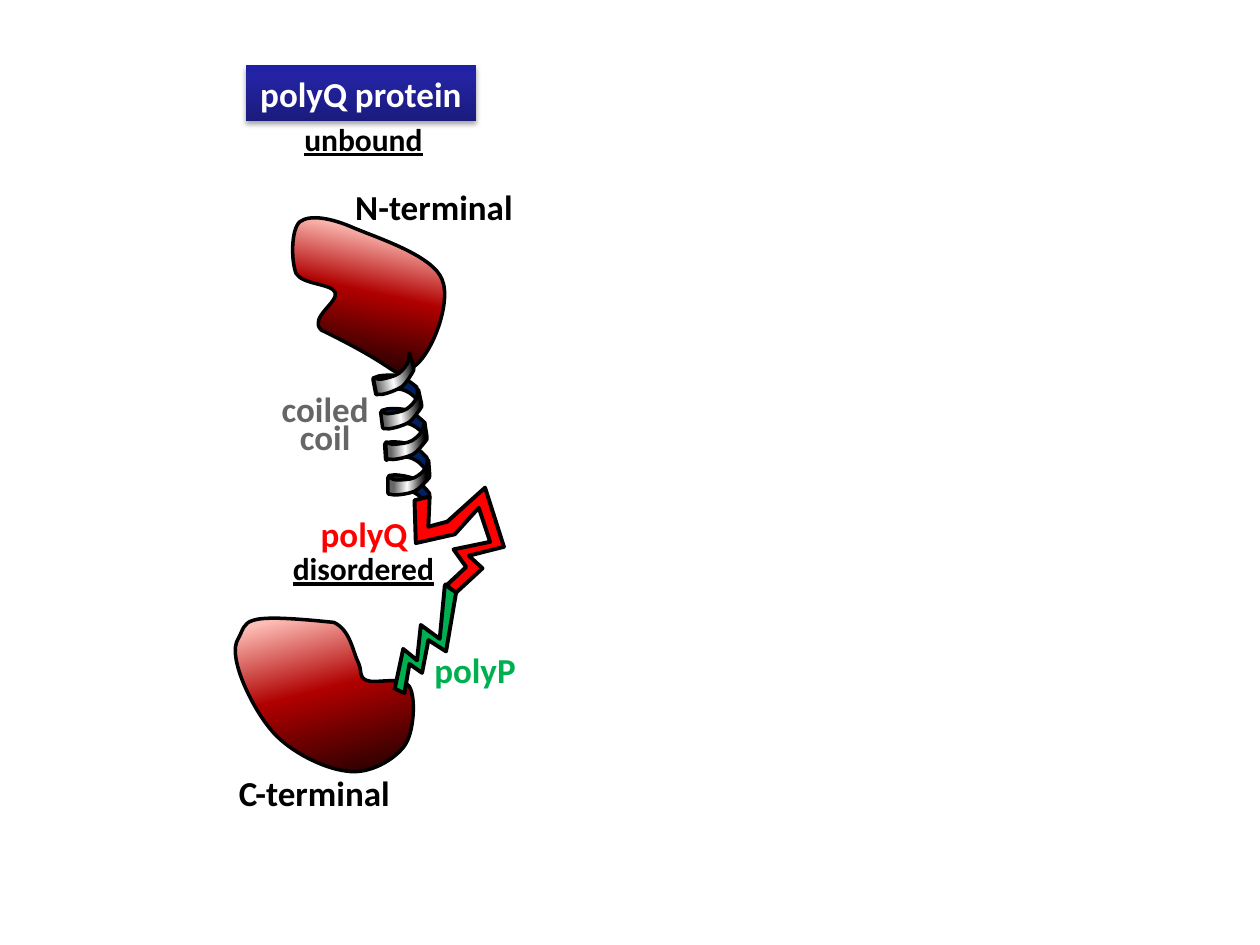
import dataclasses
import math

import lxml.etree
import pptx
import pptx.dml.color
import pptx.enum.shapes
import pptx.enum.text
import pptx.oxml.ns
import pptx.util

Inches = pptx.util.Inches


@dataclasses.dataclass(frozen=True)
class Theme:
    font: str = "Calibri"
    label_size: int = 20
    state_size: int = 18
    outline_width: float = 2
    linker_width: float = 2.25
    black: str = "000000"
    white: str = "FFFFFF"
    gray: str = "666666"
    red: str = "FF0000"
    green: str = "00B050"
    navy: str = "002060"
    header: tuple = ((0, "1B1B7E"), (80, "2323A3"), (100, "2020A6"))
    domain: tuple = ((20, "FDBCB5"), (50, "B00000"), (96, "000000"))
    ribbon: tuple = ((15, "666666"), (47, "FFFFFF"), (90, "000000"))


THEME = Theme()

# Outlines in inches: pairs are corners, sixes are Bezier curves
N_DOMAIN = [
    (0.51, 0.41), (0.33, 0.33, 0.16, 0.30, 0.08, 0.36),
    (0.01, 0.42, 0.01, 0.67, 0.05, 0.77), (0.10, 0.86, 0.33, 0.85, 0.36, 0.92),
    (0.39, 1.00, 0.15, 1.12, 0.25, 1.22), (0.95, 1.56, 0.79, 1.60, 0.95, 1.53),
    (1.11, 1.47, 1.29, 1.01, 1.21, 0.82), (1.14, 0.63, 0.70, 0.49, 0.51, 0.41)]
C_DOMAIN = [
    (1.15, 1.32), (1.33, 1.35, 1.53, 1.23, 1.61, 1.12),
    (1.69, 1.01, 1.70, 0.73, 1.65, 0.65), (1.60, 0.56, 1.38, 0.63, 1.31, 0.60),
    (1.24, 0.57, 1.28, 0.53, 1.24, 0.45), (1.20, 0.37, 1.18, 0.20, 1.05, 0.14),
    (0.28, 0.06, 0.37, 0.13, 0.29, 0.27), (0.20, 0.41, 0.40, 0.81, 0.54, 0.98),
    (0.68, 1.16, 0.97, 1.30, 1.15, 1.32)]
RIBBON_WIDTH = 0.33
RIBBON = [
    (0.32, 0), (0.30, 0.06), (0.28, 0.09, 0.25, 0.12, 0.21, 0.14),
    (0.17, 0.16, 0.10, 0.16, 0.06, 0.16), (0.03, 0.16, 0.01, 0.13, 0, 0.14),
    (0, 0.26), (0, 0.28, 0, 0.27, 0.05, 0.28), (0.09, 0.28, 0.16, 0.27, 0.21, 0.25),
    (0.25, 0.23, 0.29, 0.18, 0.31, 0.16), (0.33, 0.14, 0.33, 0.14, 0.33, 0.11), (0.32, 0)]
# Front left and top, back left and top, rotation
COIL_TURNS = [(0.96, 0.03, 0.98, 0.16, 349), (1.02, 0.31, 1.04, 0.43, 352.9),
              (1.06, 0.56, 1.06, 0.70, 356.4), (1.08, 0.85, 1.08, 0.97, 1)]
POLY_Q = [
    (1.58, 0.94), (1.83, 0.71), (1.72, 0.61), (2.00, 0.54), (1.85, 0.07), (1.55, 0.34),
    (1.40, 0.38), (1.41, 0.14), (1.29, 0.17), (1.30, 0.51), (1.61, 0.44), (1.80, 0.23),
    (1.89, 0.50), (1.60, 0.56), (1.70, 0.70), (1.55, 0.84), (1.59, 0.94)]
POLY_P = [
    (1.14, 1.67), (1.13, 1.66, 1.18, 1.69, 1.21, 1.70), (1.25, 1.47), (1.35, 1.54),
    (1.40, 1.28), (1.54, 1.37), (1.62, 0.90), (1.53, 0.85, 1.54, 0.82, 1.53, 0.85),
    (1.49, 1.27), (1.34, 1.16), (1.31, 1.44), (1.20, 1.35), (1.13, 1.68)]


def add_element(parent, tag, **attributes):
    element = lxml.etree.SubElement(parent, pptx.oxml.ns.qn(tag))
    for name, value in attributes.items():
        element.set(name, str(value))
    return element


def fill_gradient(shape, stops, angle):
    """Fill with (percent, colour) stops along a clockwise angle."""
    shape.fill.gradient()
    shape.fill.gradient_angle = (360 - angle) % 360
    stop_list = shape.fill._fill._gradFill.find(pptx.oxml.ns.qn("a:gsLst"))
    for stop in list(stop_list):
        stop_list.remove(stop)
    for percent, color in stops:
        stop = add_element(stop_list, "a:gs", pos=percent * 1000)
        add_element(stop, "a:srgbClr", val=color)


def write_text(shape, text, *, size=THEME.label_size, color=THEME.black,
               underline=False, line_spacing=None):
    frame = shape.text_frame
    frame.word_wrap = True
    frame.auto_size = pptx.enum.text.MSO_AUTO_SIZE.SHAPE_TO_FIT_TEXT
    frame.text = text
    paragraph = frame.paragraphs[0]
    paragraph.alignment = pptx.enum.text.PP_ALIGN.CENTER
    if line_spacing:
        paragraph.line_spacing = pptx.util.Pt(line_spacing)
    font = paragraph.runs[0].font
    font.name, font.size = THEME.font, pptx.util.Pt(size)
    font.bold, font.underline = True, underline
    font.color.rgb = pptx.dml.color.RGBColor.from_string(color)


def add_label(slide, text, left, top, width, height=0.44, **text_format):
    box = slide.shapes.add_textbox(Inches(left), Inches(top), Inches(width), Inches(height))
    write_text(box, text, **text_format)


def turn(points, degrees):
    """Turn a flat run of coordinates clockwise about the region's corner."""
    cosine, sine = math.cos(math.radians(degrees)), math.sin(math.radians(degrees))
    pairs = zip(points[::2], points[1::2])
    return tuple(value for x, y in pairs
                 for value in (x * cosine - y * sine, x * sine + y * cosine))


def bend(shape, outline):
    """Change the straight segments that stand for curves into Bezier curves."""
    min_x = min(part[-2] for part in outline)
    min_y = min(part[-1] for part in outline)
    lines = list(shape.element.iter(pptx.oxml.ns.qn("a:lnTo")))
    for part, line in zip(outline[1:], lines):
        if len(part) == 6:
            curve = lxml.etree.Element(pptx.oxml.ns.qn("a:cubicBezTo"))
            for x, y in zip(part[::2], part[1::2]):
                add_element(curve, "a:pt", x=Inches(x - min_x), y=Inches(y - min_y))
            line.getparent().replace(line, curve)


def add_outline(slide, outline, left, top, *, color=None, gradient=None, angle=0,
                rotation=0, settled=True, close=True, width=THEME.outline_width):
    """Draw an outline; a settled one already shows its rotated position."""
    if settled:
        outline = [turn(part, -rotation) for part in outline]
    corners = [(Inches(left + part[-2]), Inches(top + part[-1])) for part in outline]
    builder = slide.shapes.build_freeform(*corners[0])
    builder.add_line_segments(corners[1:], close=close)
    shape = builder.convert_to_shape()
    bend(shape, outline)
    if settled:
        center = turn((shape.left + shape.width / 2 - Inches(left),
                       shape.top + shape.height / 2 - Inches(top)), rotation)
        shape.left = int(Inches(left) + center[0] - shape.width / 2)
        shape.top = int(Inches(top) + center[1] - shape.height / 2)
    shape.rotation = rotation
    shape.shadow.inherit = False
    if gradient:
        fill_gradient(shape, gradient, angle)
    else:
        shape.fill.solid()
        shape.fill.fore_color.rgb = pptx.dml.color.RGBColor.from_string(color)
    shape.line.width = pptx.util.Pt(width)
    shape.line.color.rgb = pptx.dml.color.RGBColor.from_string(THEME.black)


def build_header(slide, left, top, width, height):
    banner = slide.shapes.add_shape(
        pptx.enum.shapes.MSO_SHAPE.RECTANGLE,
        Inches(left), Inches(top), Inches(width), Inches(height))
    write_text(banner, "polyQ protein", color=THEME.white)
    fill_gradient(banner, THEME.header, 270)
    banner.line.fill.background()
    # Soft shadow below the banner
    effects = add_element(banner.element.spPr, "a:effectLst")
    shadow = add_element(effects, "a:outerShdw", blurRad=pptx.util.Pt(3.1),
                         dist=pptx.util.Pt(1.8), dir=90 * 60000, rotWithShape=0)
    add_element(add_element(shadow, "a:srgbClr", val=THEME.black), "a:alpha", val=35000)
    add_label(slide, "unbound", left + 0.1, top + 0.38, 1.67, 0.4,
              size=THEME.state_size, underline=True)


def build_domain(slide, left, top, outline, rotation, angle, text, label_left, label_top):
    add_outline(slide, outline, left, top, gradient=THEME.domain,
                angle=angle, rotation=rotation)
    add_label(slide, text, left + label_left, top + label_top, 1.67)


def build_coil(slide, left, top):
    back = [tuple(value if index % 2 else RIBBON_WIDTH - value
                  for index, value in enumerate(part)) for part in RIBBON]
    for front_x, front_y, back_x, back_y, rotation in COIL_TURNS:
        add_outline(slide, back, left + back_x, top + back_y, color=THEME.navy,
                    rotation=(rotation + 180) % 360, settled=False)
        add_outline(slide, RIBBON, left + front_x, top + front_y,
                    gradient=THEME.ribbon, rotation=rotation, settled=False)
    add_label(slide, "coiled coil", left + 0.12, top + 0.34, 0.92, 0.56,
              color=THEME.gray, line_spacing=16)


def build_linkers(slide, left, top):
    for outline, color, rotation in ((POLY_Q, THEME.red, 236), (POLY_P, THEME.green, 295.9)):
        add_outline(slide, outline, left, top, color=color, rotation=rotation,
                    close=False, width=THEME.linker_width)
    add_label(slide, "polyP", left + 1.31, top + 1.3, 0.92, color=THEME.green)
    add_label(slide, "polyQ", left + 0.43, top + 0.22, 0.92, color=THEME.red)
    add_label(slide, "disordered", left + 0.05, top + 0.51, 1.67, 0.4,
              size=THEME.state_size, underline=True)


def main():
    presentation = pptx.Presentation()
    presentation.slide_width, presentation.slide_height = Inches(10), Inches(7.5)
    slide = presentation.slides.add_slide(presentation.slide_layouts[6])
    build_header(slide, 1.95, 0.52, 1.83, 0.44)
    build_domain(slide, 2.3, 1.4, N_DOMAIN, 352, 110, "N-terminal", 0.31, 0.02)
    build_coil(slide, 2, 2.8)
    build_domain(slide, 1.6, 4.8, C_DOMAIN, 152.4, 283, "C-terminal", 0.06, 1.27)
    build_linkers(slide, 2, 3.8)
    presentation.save("out.pptx")


if __name__ == "__main__":
    main()
